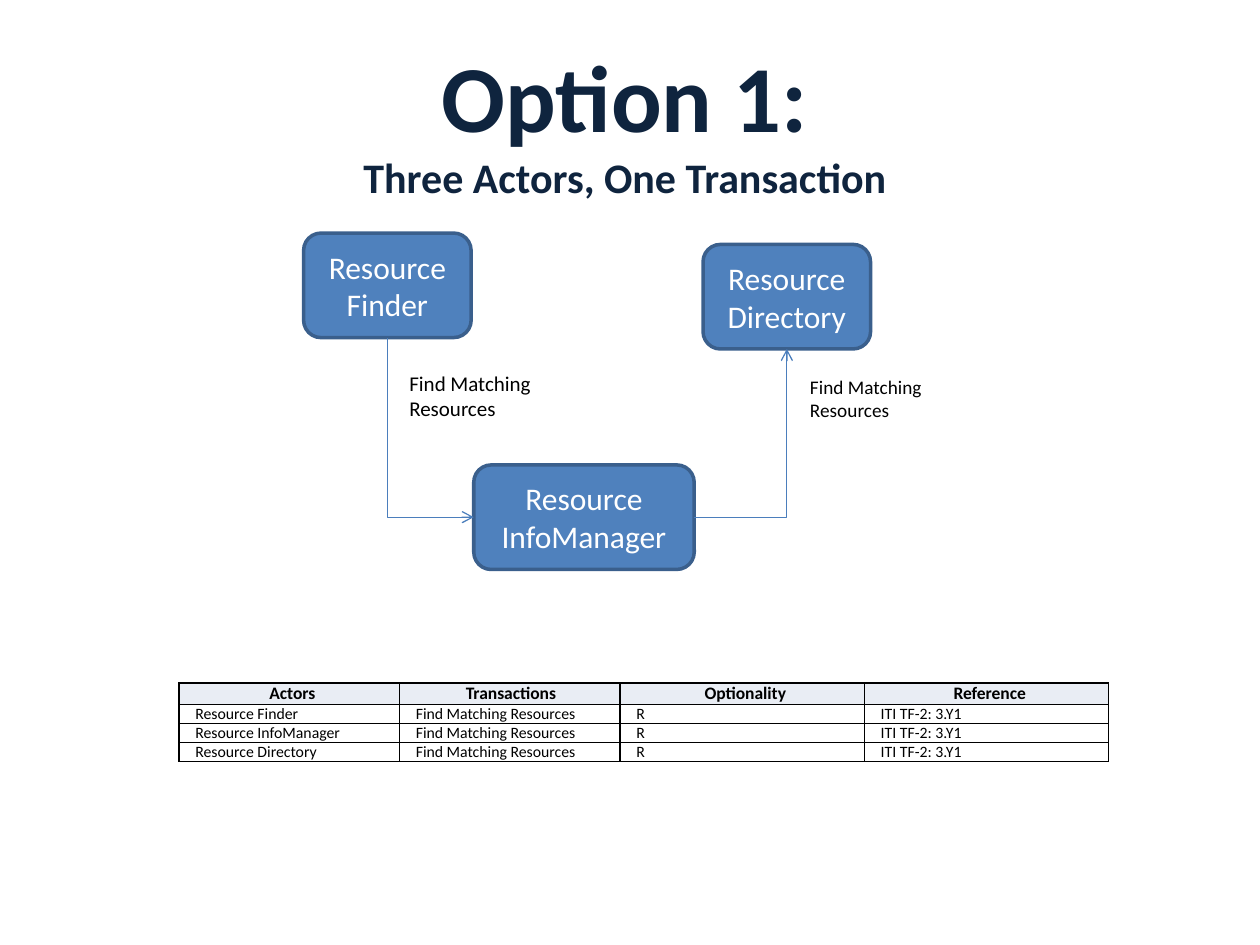
from lxml.etree import SubElement
from pptx import Presentation
from pptx.dml.color import RGBColor
from pptx.enum.shapes import MSO_CONNECTOR, MSO_SHAPE
from pptx.enum.text import MSO_ANCHOR, PP_ALIGN
from pptx.oxml import parse_xml
from pptx.oxml.ns import nsdecls, qn
from pptx.util import Inches, Pt

TITLE = [("Option 1:", 54), ("Three Actors, One Transaction", 24)]
ACTORS = {
    "Resource Finder": (2.41, 1.85, 1.33),
    "Resource Directory": (5.58, 1.94, 1.33),
    "Resource InfoManager": (3.76, 3.69, 1.75),
}
TALL = 0.83
LEFT, BOTTOM, RIGHT = 1, 2, 3
LINKS = [
    ("Resource Finder", LEFT, "headEnd"),
    ("Resource Directory", RIGHT, "tailEnd"),
]
LABELS = [(3.15, 2.89, 1.21, 0.5, 12), (6.33, 2.93, 1.09, 0.47, 11)]
HEADS = ["Actors", "Transactions ", "Optionality", "Reference"]
ROWS = [
    [name, "Find Matching Resources", "R", "ITI TF-2: 3.Y1"]
    for name in ("Resource Finder", "Resource InfoManager", "Resource Directory")
]
COLS = [1.75, 1.75, 1.94, 1.94]
HIGHS = [0.17, 0.15, 0.15, 0.15]


def paint(target, color):
    """Set a solid fill from a hex string."""
    target.solid()
    target.fore_color.rgb = RGBColor.from_string(color)


def write(frame, lines, color, align=PP_ALIGN.LEFT, bold=False):
    """Write (text, size) lines as paragraphs."""
    for i, (text, size) in enumerate(lines):
        para = frame.add_paragraph() if i else frame.paragraphs[0]
        para.alignment = align
        run = para.add_run()
        run.text = text
        font = run.font
        font.name, font.size, font.bold = "Calibri", Pt(size), bold
        paint(font.fill, color)


def add_box(slide, name, left, top, width):
    """Add one actor box."""
    box = slide.shapes.add_shape(
        MSO_SHAPE.ROUNDED_RECTANGLE, *map(Inches, (left, top, width, TALL)))
    box.shadow.inherit = False
    paint(box.fill, "4F81BD")
    paint(box.line.fill, "3A5F8C")
    box.line.width = Pt(2)
    frame = box.text_frame
    frame.word_wrap = True
    frame.vertical_anchor = MSO_ANCHOR.MIDDLE
    write(frame, [(name, 18)], "FFFFFF", PP_ALIGN.CENTER)
    return box


def add_link(slide, hub, side, box, end):
    """Join a side of the hub to the bottom of a box with one bend."""
    link = slide.shapes.add_connector(MSO_CONNECTOR.ELBOW, 0, 0, 0, 0)
    link.begin_connect(hub, side)
    link.end_connect(box, BOTTOM)
    paint(link.line.fill, "4B7EBC")
    link.line.width = Pt(0.75)
    props = link._element.spPr
    props.find(qn("a:prstGeom")).set("prst", "bentConnector2")
    SubElement(props.find(qn("a:ln")), qn("a:" + end), type="arrow")
    SubElement(props, qn("a:effectLst"))


def add_label(slide, left, top, width, height, size):
    """Add a label beside a link."""
    frame = slide.shapes.add_textbox(
        *map(Inches, (left, top, width, height))).text_frame
    frame.word_wrap = False
    write(frame, [("Find Matching", size), ("Resources", size)], "000000")


def style(cell, text, head):
    """Fill, border and write one table cell."""
    cell.margin_left = cell.margin_right = Inches(0.08)
    cell.margin_top = cell.margin_bottom = 0
    props = cell._tc.get_or_add_tcPr()
    for side in "LRTB":
        props.append(parse_xml(
            f'<a:ln{side} {nsdecls("a")} w="{Pt(1)}"><a:solidFill>'
            f'<a:srgbClr val="000000"/></a:solidFill></a:ln{side}>'))
    paint(cell.fill, "E9EDF4" if head else "FFFFFF")
    align = PP_ALIGN.CENTER if head else PP_ALIGN.LEFT
    write(cell.text_frame, [(text, 10 if head else 9)], "000000", align, head)
    indent = cell.text_frame.paragraphs[0]._p.get_or_add_pPr()
    indent.set("marL", str(Inches(0.05)))
    indent.set("indent", "0")


def add_grid(slide):
    """Add the table of actors and transactions."""
    data = [HEADS] + ROWS
    grid = slide.shapes.add_table(
        len(data), len(COLS), Inches(1.42), Inches(5.42),
        Inches(sum(COLS)), Inches(sum(HIGHS))).table
    grid.first_row = grid.horz_banding = False
    for col, width in zip(grid.columns, COLS):
        col.width = Inches(width)
    for i, (row, high) in enumerate(zip(grid.rows, HIGHS)):
        row.height = Inches(high)
        for cell, text in zip(row.cells, data[i]):
            style(cell, text, i == 0)


def main():
    """Build and save the slide."""
    deck = Presentation()
    deck.slide_width, deck.slide_height = Inches(10), Inches(7.5)
    slide = deck.slides.add_slide(deck.slide_layouts[5])
    title = slide.shapes.title
    title.left, title.top, title.width, title.height = map(
        Inches, (2.76, 0.25, 4.4, 1.41))
    title.text_frame.word_wrap = False
    title.text_frame.vertical_anchor = MSO_ANCHOR.TOP
    write(title.text_frame, TITLE, "0F243E", PP_ALIGN.CENTER, True)
    boxes = {name: add_box(slide, name, *spot) for name, spot in ACTORS.items()}
    hub = boxes["Resource InfoManager"]
    for name, side, end in LINKS:
        add_link(slide, hub, side, boxes[name], end)
    for label in LABELS:
        add_label(slide, *label)
    add_grid(slide)
    deck.save("out.pptx")


if __name__ == "__main__":
    main()
